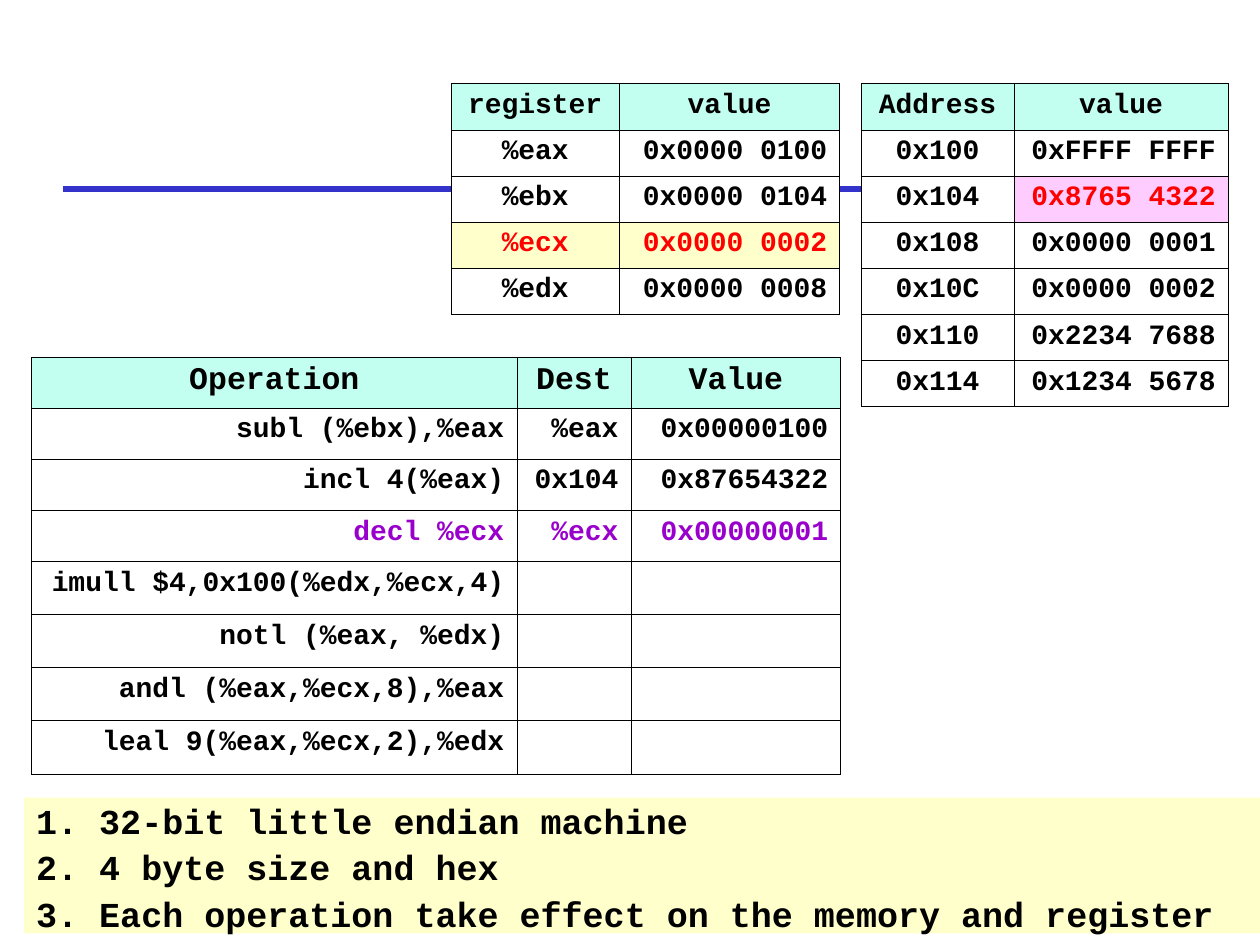
import dataclasses
import typing

import lxml.etree
import pptx
import pptx.dml.color
import pptx.enum.shapes
import pptx.enum.text
import pptx.oxml.ns
import pptx.util

Cm = pptx.util.Cm
Pt = pptx.util.Pt
Align = pptx.enum.text.PP_ALIGN


@dataclasses.dataclass(frozen=True)
class Theme:
    font: str = "Courier New"
    black: str = "000000"
    white: str = "FFFFFF"
    blue: str = "3333CC"
    mint: str = "C2FFF0"
    cream: str = "FFFFCC"
    pink: str = "FFCCFF"
    red: str = "FF0000"
    purple: str = "9900CC"
    small: float = 16
    head: float = 18
    note: float = 20
    edge: float = 0.45
    rule: float = 3


THEME = Theme()


class Mark(typing.NamedTuple):
    row: int
    col: int
    ink: str
    fill: str


@dataclasses.dataclass(frozen=True)
class Grid:
    left: float
    top: float
    widths: list[float]
    heights: list[float]
    rows: list[list[str]]
    aligns: list[Align]
    head: float = THEME.small
    marks: tuple[Mark, ...] = ()


def tint(code: str) -> pptx.dml.color.RGBColor:
    return pptx.dml.color.RGBColor.from_string(code)


def style(line, size: float, ink: str) -> None:
    for run in line.runs:
        run.font.name = THEME.font
        run.font.size = Pt(size)
        run.font.bold = True
        run.font.color.rgb = tint(ink)


def frame(cell) -> None:
    props = cell._tc.get_or_add_tcPr()
    qn = pptx.oxml.ns.qn
    for spot, side in enumerate(("a:lnL", "a:lnR", "a:lnT", "a:lnB")):
        edge = lxml.etree.Element(qn(side), w=str(Pt(THEME.edge)))
        fill = lxml.etree.SubElement(edge, qn("a:solidFill"))
        lxml.etree.SubElement(fill, qn("a:srgbClr"), val=THEME.black)
        props.insert(spot, edge)


def draw_grid(slide, grid: Grid) -> None:
    table = slide.shapes.add_table(
        len(grid.rows), len(grid.widths), Cm(grid.left), Cm(grid.top),
        Cm(sum(grid.widths)), Cm(sum(grid.heights))).table
    table.horz_banding = False
    for col, width in zip(table.columns, grid.widths):
        col.width = Cm(width)
    for row, height in zip(table.rows, grid.heights):
        row.height = Cm(height)
    marks = {(mark.row, mark.col): mark for mark in grid.marks}
    for y, texts in enumerate(grid.rows):
        for x, text in enumerate(texts):
            plain = Mark(y, x, THEME.black, THEME.white if y else THEME.mint)
            mark = marks.get((y, x), plain)
            cell = table.cell(y, x)
            cell.fill.solid()
            cell.fill.fore_color.rgb = tint(mark.fill)
            frame(cell)
            line = cell.text_frame.paragraphs[0]
            line.text = text
            line.alignment = grid.aligns[x] if y else Align.CENTER
            style(line, THEME.small if y else grid.head, mark.ink)


def draw_rule(slide) -> None:
    rule = slide.shapes.add_connector(
        pptx.enum.shapes.MSO_CONNECTOR.STRAIGHT,
        Cm(1.27), Cm(3.81), Cm(23.7), Cm(3.81))
    rule.line.color.rgb = tint(THEME.blue)
    rule.line.width = Pt(THEME.rule)
    lxml.etree.SubElement(rule._element.spPr, pptx.oxml.ns.qn("a:effectLst"))


def draw_notes(slide, notes: list[str]) -> None:
    box = slide.shapes.add_shape(
        pptx.enum.shapes.MSO_SHAPE.RECTANGLE,
        Cm(0.48), Cm(16.08), Cm(24.92), Cm(2.74))
    box.shadow.inherit = False
    box.fill.solid()
    box.fill.fore_color.rgb = tint(THEME.cream)
    box.line.fill.background()
    body = box.text_frame
    body.word_wrap = True
    body.vertical_anchor = pptx.enum.text.MSO_ANCHOR.TOP
    body.text = "\n".join(notes)
    for rank, line in enumerate(body.paragraphs):
        line.alignment = Align.LEFT
        line.line_spacing = 0.9
        if rank:
            line.space_before = Pt(5)
        style(line, THEME.note, THEME.black)


TASKS = Grid(
    0.64, 7.2, [9.78, 2.3, 4.23], [1.03] * 4 + [1.07] * 4,
    [["Operation", "Dest", "Value"],
     ["subl (%ebx),%eax", "%eax", "0x00000100"],
     ["incl 4(%eax)", "0x104", "0x87654322"],
     ["decl %ecx", "%ecx", "0x00000001"],
     ["imull $4,0x100(%edx,%ecx,4)", "", ""],
     ["notl (%eax, %edx)", "", ""],
     ["andl (%eax,%ecx,8),%eax", "", ""],
     ["leal 9(%eax,%ecx,2),%edx", "", ""]],
    [Align.RIGHT] * 3, THEME.head,
    tuple(Mark(3, x, THEME.purple, THEME.white) for x in range(3)))

CELLS = Grid(
    17.36, 1.69, [3.08, 4.32], [0.93] * 7,
    [["Address", "value"],
     ["0x100", "0xFFFF FFFF"],
     ["0x104", "0x8765 4322"],
     ["0x108", "0x0000 0001"],
     ["0x10C", "0x0000 0002"],
     ["0x110", "0x2234 7688"],
     ["0x114", "0x1234 5678"]],
    [Align.CENTER, Align.RIGHT],
    marks=(Mark(2, 1, THEME.red, THEME.pink),))

STORE = Grid(
    9.1, 1.69, [3.38, 4.45], [0.93] * 5,
    [["register", "value"],
     ["%eax", "0x0000 0100"],
     ["%ebx", "0x0000 0104"],
     ["%ecx", "0x0000 0002"],
     ["%edx", "0x0000 0008"]],
    [Align.CENTER, Align.RIGHT],
    marks=tuple(Mark(3, x, THEME.red, THEME.cream) for x in range(2)))

NOTES = ["1. 32-bit little endian machine",
         "2. 4 byte size and hex",
         "3. Each operation take effect on the memory and register"]


def main() -> None:
    deck = pptx.Presentation()
    deck.slide_width, deck.slide_height = Cm(25.4), Cm(19.05)
    slide = deck.slides.add_slide(deck.slide_layouts[6])
    draw_rule(slide)
    for grid in (TASKS, CELLS, STORE):
        draw_grid(slide, grid)
    draw_notes(slide, NOTES)
    deck.save("out.pptx")


if __name__ == "__main__":
    main()
